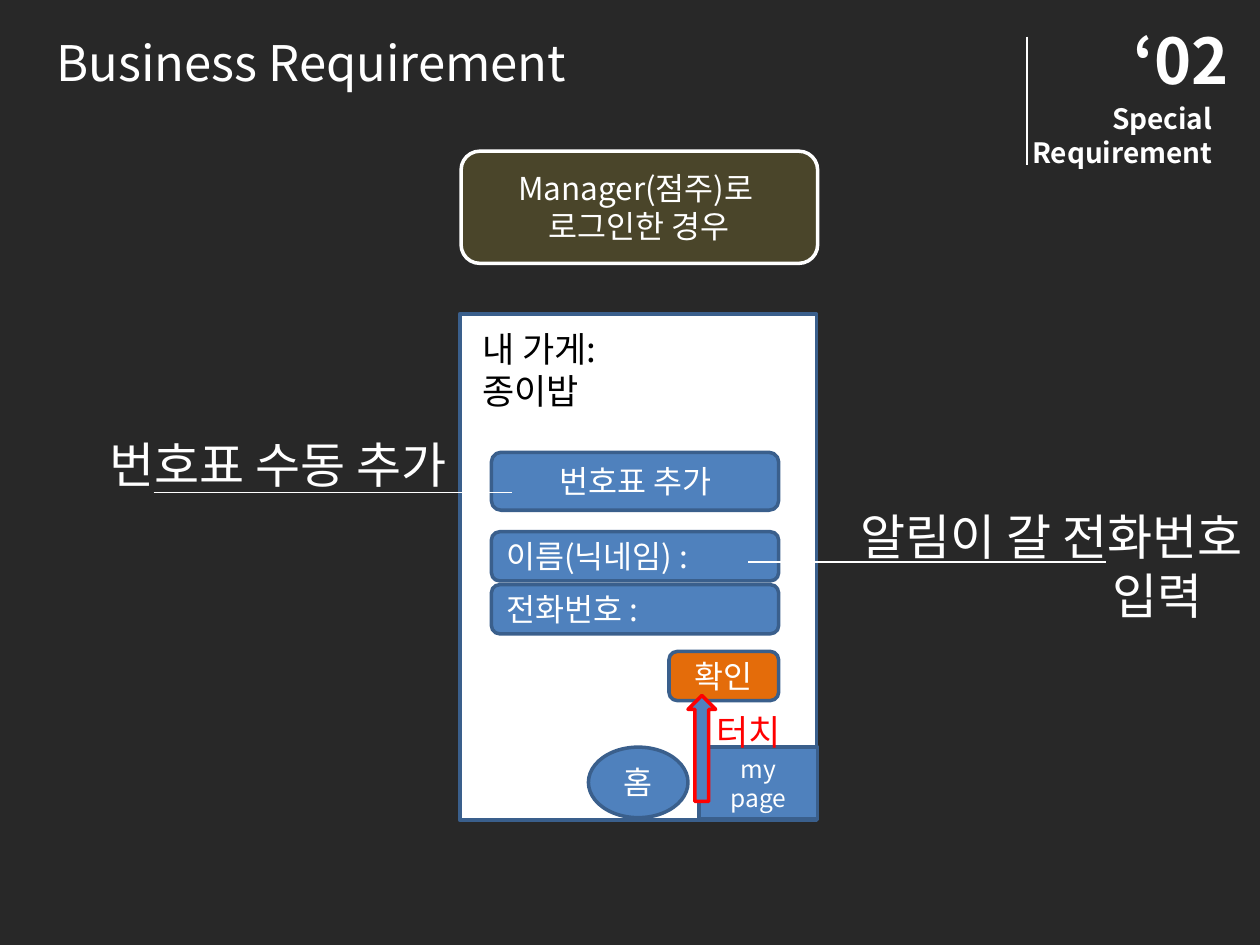
from dataclasses import dataclass

from lxml import etree
from pptx import Presentation
from pptx.dml.color import RGBColor
from pptx.enum import shapes, text
from pptx.oxml import ns
from pptx.util import Inches, Pt

FORM = shapes.MSO_SHAPE
ALIGN = text.PP_ALIGN


@dataclass(frozen=True)
class Theme:
    font: str = "Noto Sans CJK KR"
    back: str = "282828"
    white: str = "FFFFFF"
    black: str = "000000"
    blue: str = "4F81BD"
    edge: str = "3A5F8C"
    olive: str = "4A452A"
    orange: str = "E46C0A"
    red: str = "FF0000"
    huge: int = 36
    head: int = 28
    large: int = 20
    body: int = 18
    side: int = 16
    small: int = 14
    thick: float = 2
    thin: float = 0.75


def write(frame, words, *, size, color, bold=False, align=ALIGN.LEFT,
          font="", indents=()):
    """Put each line of words in its own paragraph; indents are inches by line."""
    for i, line in enumerate(words.split("\n")):
        para = frame.paragraphs[0] if i == 0 else frame.add_paragraph()
        para.alignment = align
        if i < len(indents):
            props = para._p.get_or_add_pPr()
            props.set("marL", str(Inches(indents[i])))
            props.set("indent", "0")
        run = para.add_run()
        run.text = line
        run.font.name = font
        run.font.size = Pt(size)
        run.font.bold = bold
        run.font.color.rgb = RGBColor.from_string(color)
        east = etree.SubElement(run._r.get_or_add_rPr(), ns.qn("a:ea"))
        east.set("typeface", font)


class Board:
    """Draws styled elements on one slide."""

    def __init__(self, slide, theme):
        self.slide = slide
        self.theme = theme
        fill = slide.background.fill
        fill.solid()
        fill.fore_color.rgb = RGBColor.from_string(theme.back)

    def label(self, x, y, w, h, words, size, color=None, **style):
        box = self.slide.shapes.add_textbox(*map(Inches, (x, y, w, h)))
        box.text_frame.word_wrap = True
        write(box.text_frame, words, size=size, font=self.theme.font,
              color=color or self.theme.white, **style)

    def block(self, form, x, y, w, h, words="", fill=None, edge=None,
              size=None, align=ALIGN.CENTER):
        look = self.theme
        shape = self.slide.shapes.add_shape(form, *map(Inches, (x, y, w, h)))
        shape.shadow.inherit = False
        shape.fill.solid()
        shape.fill.fore_color.rgb = RGBColor.from_string(fill or look.blue)
        shape.line.color.rgb = RGBColor.from_string(edge or look.edge)
        shape.line.width = Pt(look.thick)
        if words:
            frame = shape.text_frame
            frame.vertical_anchor = text.MSO_ANCHOR.MIDDLE
            write(frame, words, size=size or look.body, color=look.white,
                  align=align, font=look.font)

    def rule(self, x1, y1, x2, y2):
        line = self.slide.shapes.add_connector(
            shapes.MSO_CONNECTOR.STRAIGHT, *map(Inches, (x1, y1, x2, y2)))
        line.line.color.rgb = RGBColor.from_string(self.theme.white)
        line.line.width = Pt(self.theme.thin)
        etree.SubElement(line._element.spPr, ns.qn("a:effectLst"))


def header(board):
    look = board.theme
    board.label(0.35, 0.21, 5.28, 0.57, "Business Requirement", look.head)
    board.label(8.9, 0.12, 1.14, 0.71, "‘02", look.huge, bold=True)
    board.label(7.83, 0.76, 1.89, 0.63, "Special\nRequirement", look.side,
                bold=True, align=ALIGN.RIGHT)
    board.rule(8.15, 0.29, 8.15, 1.31)


def phone(board):
    look = board.theme
    board.block(FORM.RECTANGLE, 3.65, 2.49, 2.83, 4.02, fill=look.white)
    board.block(FORM.RECTANGLE, 5.55, 5.93, 0.94, 0.57, "my\npage",
                size=look.small)
    board.block(FORM.OVAL, 4.67, 5.93, 0.79, 0.56, "홈")
    board.label(3.73, 2.55, 1.93, 0.77, "내 가게:\n종이밥", look.large,
                look.black)
    board.block(FORM.ROUNDED_RECTANGLE, 3.66, 1.2, 2.83, 0.89,
                "Manager(점주)로 \n로그인한 경우", fill=look.olive,
                edge=look.white)

    left, wide = 3.9, 2.28
    fields = [
        (3.59, 0.46, "번호표 추가", ALIGN.CENTER),
        (4.22, 0.39, "이름(닉네임) :", ALIGN.LEFT),
        (4.64, 0.39, "전화번호 :", ALIGN.LEFT),
    ]
    for top, high, words, align in fields:
        board.block(FORM.ROUNDED_RECTANGLE, left, top, wide, high, words,
                    align=align)
    board.block(FORM.ROUNDED_RECTANGLE, 5.31, 5.17, 0.87, 0.39, "확인",
                fill=look.orange)
    board.block(FORM.UP_ARROW, 5.46, 5.52, 0.22, 0.84, edge=look.red)


def notes(board):
    look = board.theme
    board.rule(1.22, 3.91, 4.06, 3.91)
    board.label(0.77, 3.4, 5.28, 0.57, "번호표 수동 추가", look.head)
    board.rule(5.94, 4.46, 8.78, 4.46)
    board.label(6.73, 3.97, 5.28, 1.51, "알림이 갈 전화번호\n입력", look.head,
                indents=(0, 2))
    board.label(5.59, 5.59, 5.28, 0.44, "터치", look.large, look.red)


def main():
    deck = Presentation()
    deck.slide_width, deck.slide_height = Inches(10), Inches(7.5)
    board = Board(deck.slides.add_slide(deck.slide_layouts[6]), Theme())
    header(board)
    phone(board)
    notes(board)
    deck.save("out.pptx")


if __name__ == "__main__":
    main()
